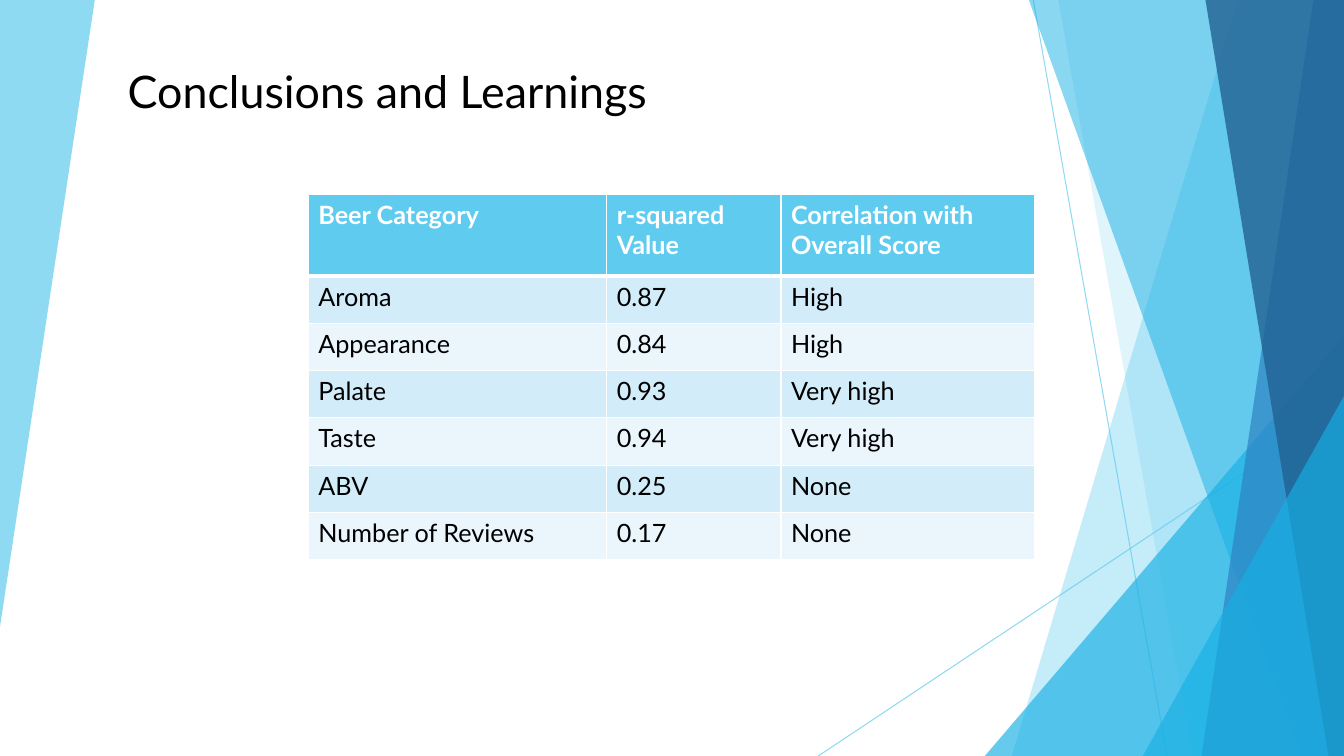
from lxml.etree import SubElement
from pptx import Presentation
from pptx.dml.color import RGBColor as RGB
from pptx.enum.shapes import MSO_CONNECTOR as LINK, MSO_SHAPE as SHAPE
from pptx.oxml.ns import qn
from pptx.util import Cm, Pt

WIDTH, HEIGHT = 33.87, 19.05
COLORS = {
    "sky": "5FCBEF", "cyan": "17B0E4", "blue": "2E83C3", "navy": "226292",
    "odd": "D2ECF9", "even": "EAF6FC", "white": "FFFFFF", "black": "000000",
}
ROWS = [
    ("Beer Category", "r-squared Value", "Correlation with Overall Score"),
    ("Aroma", "0.87", "High"),
    ("Appearance", "0.84", "High"),
    ("Palate", "0.93", "Very high"),
    ("Taste", "0.94", "Very high"),
    ("ABV", "0.25", "None"),
    ("Number of Reviews", "0.17", "None"),
]


def color(name):
    return RGB.from_string(COLORS[name])


def fade(shape, percent):
    """Set the opacity of every colour in the shape's own format."""
    for tone in shape._element.spPr.iter(qn("a:srgbClr")):
        SubElement(tone, qn("a:alpha"), val=str(percent * 1000))


class Painter:
    font = "Lato"

    def __init__(self, slide):
        self.shapes = slide.shapes

    def paint(self, shape, tone, alpha):
        shape.shadow.inherit = False
        shape.fill.solid()
        shape.fill.fore_color.rgb = color(tone)
        shape.line.fill.background()
        fade(shape, alpha)

    def area(self, points, tone, alpha):
        spots = [(Cm(x), Cm(y)) for x, y in points]
        pen = self.shapes.build_freeform(*spots[0], scale=1.0)
        pen.add_line_segments(spots[1:], close=True)
        self.paint(pen.convert_to_shape(), tone, alpha)

    def band(self, top, bottom, tone, alpha):
        """Fill from a slanted left edge to the right side of the slide."""
        self.area([(top, 0), (WIDTH, 0), (WIDTH, HEIGHT), (bottom, HEIGHT)], tone, alpha)

    def corner(self, left, top, tone, alpha):
        """Place a triangle in the bottom right corner."""
        shape = self.shapes.add_shape(
            SHAPE.ISOSCELES_TRIANGLE, Cm(left), Cm(top), Cm(WIDTH - left), Cm(HEIGHT - top))
        shape.adjustments[0] = 1
        self.paint(shape, tone, alpha)

    def line(self, x1, y1, x2, y2, tone, alpha):
        link = self.shapes.add_connector(LINK.STRAIGHT, Cm(x1), Cm(y1), Cm(x2), Cm(y2))
        link.line.color.rgb = color(tone)
        link.line.width = Pt(0.75)
        fade(link, alpha)
        SubElement(link._element.spPr, qn("a:effectLst"))

    def label(self, frame, text, size, tone, bold=False):
        frame.word_wrap = True
        para = frame.paragraphs[0]
        para.text = text
        font = para.font
        font.name, font.size, font.bold = self.font, Pt(size), bold
        font.color.rgb = color(tone)

    def title(self, text, left, top, width, height):
        box = self.shapes.add_textbox(Cm(left), Cm(top), Cm(width), Cm(height))
        self.label(box.text_frame, text, 32, "black")

    def border(self, cell, widths):
        props = cell._tc.get_or_add_tcPr()
        for spot, (side, width) in enumerate(zip("LRTB", widths)):
            edge = SubElement(props, qn(f"a:ln{side}"), w=str(Pt(width)))
            fill = SubElement(edge, qn("a:solidFill"))
            SubElement(fill, qn("a:srgbClr"), val=COLORS["white"])
            props.insert(spot, edge)

    def table(self, rows, left, top, widths, heights):
        table = self.shapes.add_table(
            len(rows), len(widths), Cm(left), Cm(top), Cm(sum(widths)), Cm(sum(heights))).table
        for col, width in zip(table.columns, widths):
            col.width = Cm(width)
        for r, (row, height) in enumerate(zip(rows, heights)):
            table.rows[r].height = Cm(height)
            head = r == 0
            tone = "sky" if head else ("even", "odd")[r % 2]
            for c, text in enumerate(row):
                cell = table.cell(r, c)
                cell.fill.solid()
                cell.fill.fore_color.rgb = color(tone)
                self.border(cell, (1, 1, 3 if r == 1 else 1, 3 if head else 1))
                self.label(cell.text_frame, text, 18, "white" if head else "black", head)


def main():
    deck = Presentation()
    deck.slide_width, deck.slide_height = Cm(WIDTH), Cm(HEIGHT)
    art = Painter(deck.slides.add_slide(deck.slide_layouts[6]))

    art.area([(0, 0), (2.39, 0), (0, 15.8)], "sky", 70)
    art.line(26.04, 0, 29.41, HEIGHT, "sky", 70)
    art.line(WIDTH, 10.24, 20.62, HEIGHT, "sky", 70)
    art.band(31.19, 25.5, "sky", 36)
    art.band(26.67, 30.05, "sky", 20)
    art.corner(24.82, 8.46, "cyan", 66)
    art.band(25.93, 32.79, "cyan", 50)
    art.band(33.1, 30.28, "blue", 70)
    art.band(30.38, 33.48, "navy", 80)
    art.corner(28.8, 9.98, "cyan", 66)

    art.title("Conclusions and Learnings", 2.97, 1.47, 28.02, 11.2)
    art.table(ROWS, 7.77, 4.9, (7.52, 4.39, 6.4), [2.06] + [1.19] * (len(ROWS) - 1))
    deck.save("out.pptx")


if __name__ == "__main__":
    main()
